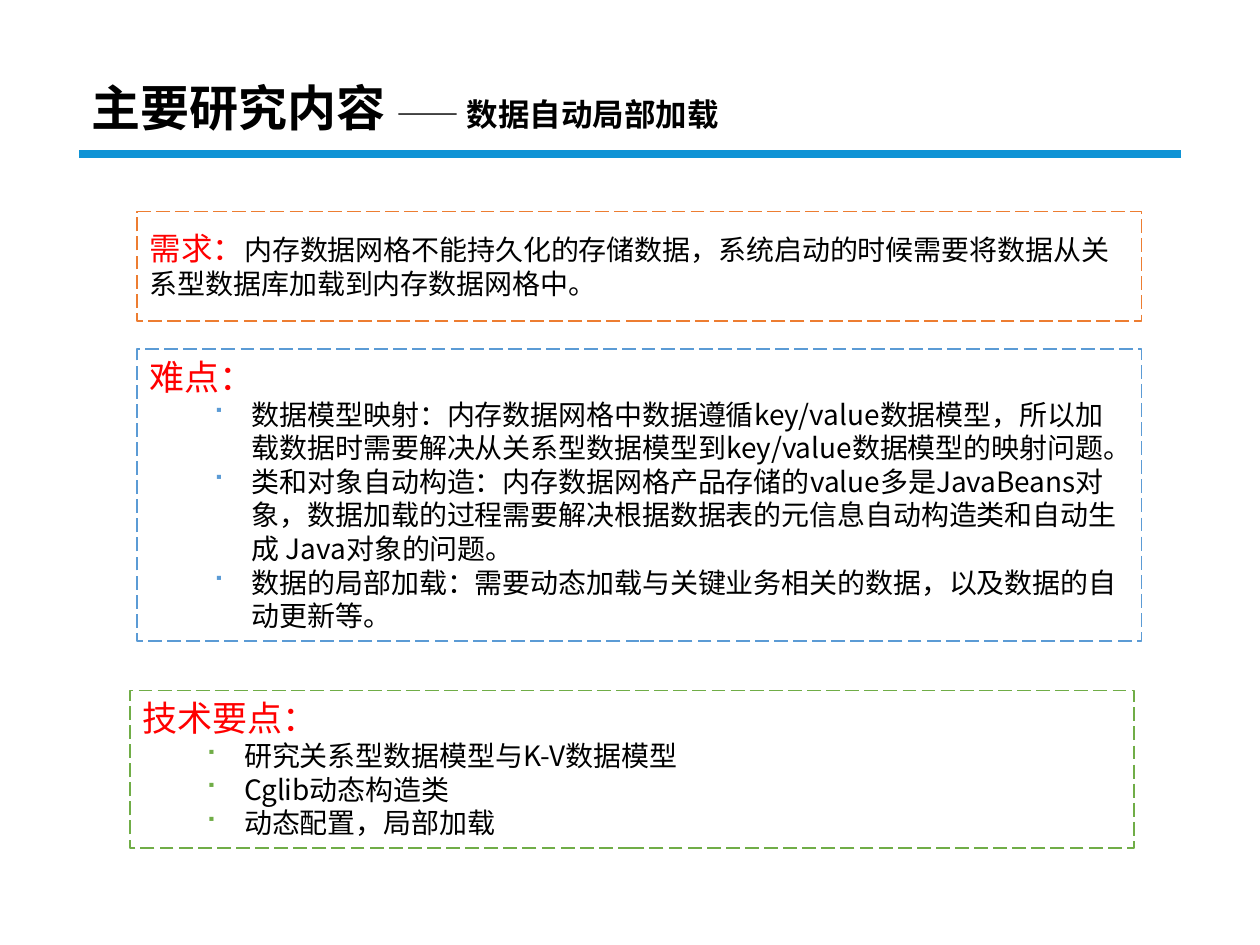
from lxml.etree import SubElement
from pptx import Presentation
from pptx.dml.color import RGBColor
from pptx.enum.dml import MSO_LINE
from pptx.enum.shapes import MSO_CONNECTOR, MSO_SHAPE
from pptx.enum.text import MSO_ANCHOR, MSO_AUTO_SIZE, PP_ALIGN
from pptx.oxml.ns import qn
from pptx.util import Inches, Pt

FONT = "Noto Sans CJK SC"
WIDE, HIGH = 10, 7.5
LEFT, SPAN = 1.09, 7.97
RED, BLACK, WHITE = "FF0000", "000000", "FFFFFF"
BLUE, ORANGE, GREEN = "5B9BD5", "ED7D31", "70AD47"

HARD = [
    "数据模型映射：内存数据网格中数据遵循key/value数据模型，所以加载数据时需要解决从关系型数据模型到key/value数据模型的映射问题。",
    "类和对象自动构造：内存数据网格产品存储的value多是JavaBeans对象，数据加载的过程需要解决根据数据表的元信息自动构造类和自动生成 Java对象的问题。",
    "数据的局部加载：需要动态加载与关键业务相关的数据，以及数据的自动更新等。",
]
TECH = ["研究关系型数据模型与K-V数据模型", "Cglib动态构造类", "动态配置，局部加载"]


def paint(tone):
    return RGBColor.from_string(tone)


def apply(item, form):
    for key, value in form.items():
        setattr(item, key, value)


def add_run(para, text, size, tone=BLACK, bold=False):
    run = para.add_run()
    run.text = text
    apply(run.font, {"name": FONT, "size": Pt(size), "bold": bold})
    run.font.color.rgb = paint(tone)
    SubElement(run.font._element, qn("a:ea"), typeface=FONT)


def add_bullet(para, tone):
    props = para._p.get_or_add_pPr()
    apply(para, {"level": 1, "alignment": PP_ALIGN.LEFT})
    props.set("marL", str(Inches(0.81)))
    props.set("indent", str(Inches(-0.31)))
    SubElement(SubElement(props, qn("a:buClr")), qn("a:srgbClr"), val=tone)
    SubElement(props, qn("a:buFont"), typeface="Wingdings")
    SubElement(props, qn("a:buChar"), char="■")


def set_frame(frame, **more):
    form = {"word_wrap": True, "vertical_anchor": MSO_ANCHOR.TOP,
            "auto_size": MSO_AUTO_SIZE.SHAPE_TO_FIT_TEXT}
    apply(frame, {**form, **more})
    para = frame.paragraphs[0]
    para.alignment = PP_ALIGN.LEFT
    return para


def add_box(slide, left, top, high, tone, fill=None):
    box = slide.shapes.add_shape(
        MSO_SHAPE.RECTANGLE, *map(Inches, (left, top, SPAN, high)))
    box.shadow.inherit = False
    if fill:
        box.fill.solid()
        box.fill.fore_color.rgb = paint(fill)
    else:
        box.fill.background()
    apply(box.line, {"width": Pt(1), "dash_style": MSO_LINE.LONG_DASH})
    box.line.color.rgb = paint(tone)
    return box


def add_list(slide, left, top, high, tone, head, items):
    frame = add_box(slide, left, top, high, tone, WHITE).text_frame
    add_run(set_frame(frame), head, 20, RED)
    for item in items:
        para = frame.add_paragraph()
        add_bullet(para, tone)
        add_run(para, item, 16)


def add_need(slide):
    add_box(slide, LEFT, 1.68, 0.87, ORANGE)
    text = slide.shapes.add_textbox(*map(Inches, (LEFT, 1.77, 7.85, 0.67)))
    para = set_frame(text.text_frame)
    add_run(para, "需求：", 18, RED)
    add_run(para, "内存数据网格不能持久化的存储数据，系统启动的时候需要将数据从关系型数据库加载到内存数据网格中。", 16)


def add_title(slide):
    edge = 0.063 * WIDE
    rule = slide.shapes.add_connector(
        MSO_CONNECTOR.STRAIGHT,
        *map(Inches, (edge, 1.22, WIDE - edge, 1.22)))
    rule.line.width = Pt(4.5)
    rule.line.color.rgb = paint("0F93D5")
    SubElement(rule._element.spPr, qn("a:effectLst"))
    title = slide.shapes.title
    names = ("left", "top", "width", "height")
    apply(title, dict(zip(names, map(Inches, (edge, 0.56, 8.62, 0.63)))))
    para = set_frame(title.text_frame, vertical_anchor=MSO_ANCHOR.MIDDLE,
                     auto_size=MSO_AUTO_SIZE.NONE)
    para.line_spacing = 0.9
    add_run(para, "主要研究内容 ", 28, bold=True)
    add_run(para, "—— 数据自动局部加载", 18, bold=True)


def main():
    deck = Presentation()
    apply(deck, {"slide_width": Inches(WIDE), "slide_height": Inches(HIGH)})
    slide = deck.slides.add_slide(deck.slide_layouts[5])
    add_title(slide)
    add_need(slide)
    add_list(slide, LEFT, 2.77, 2.32, BLUE, "难点：", HARD)
    add_list(slide, 1.03, 5.48, 1.25, GREEN, "技术要点：", TECH)
    deck.save("out.pptx")


if __name__ == "__main__":
    main()
